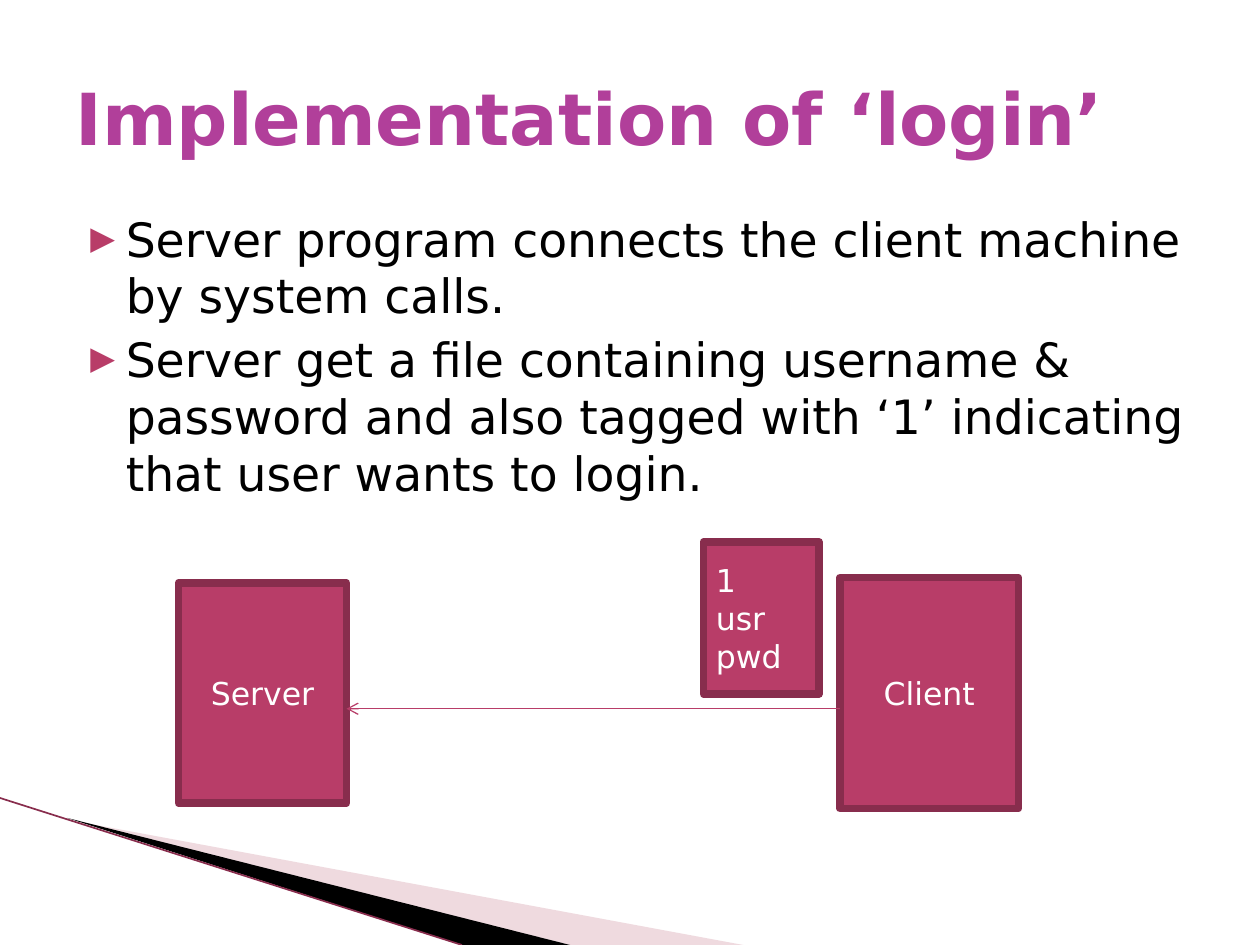
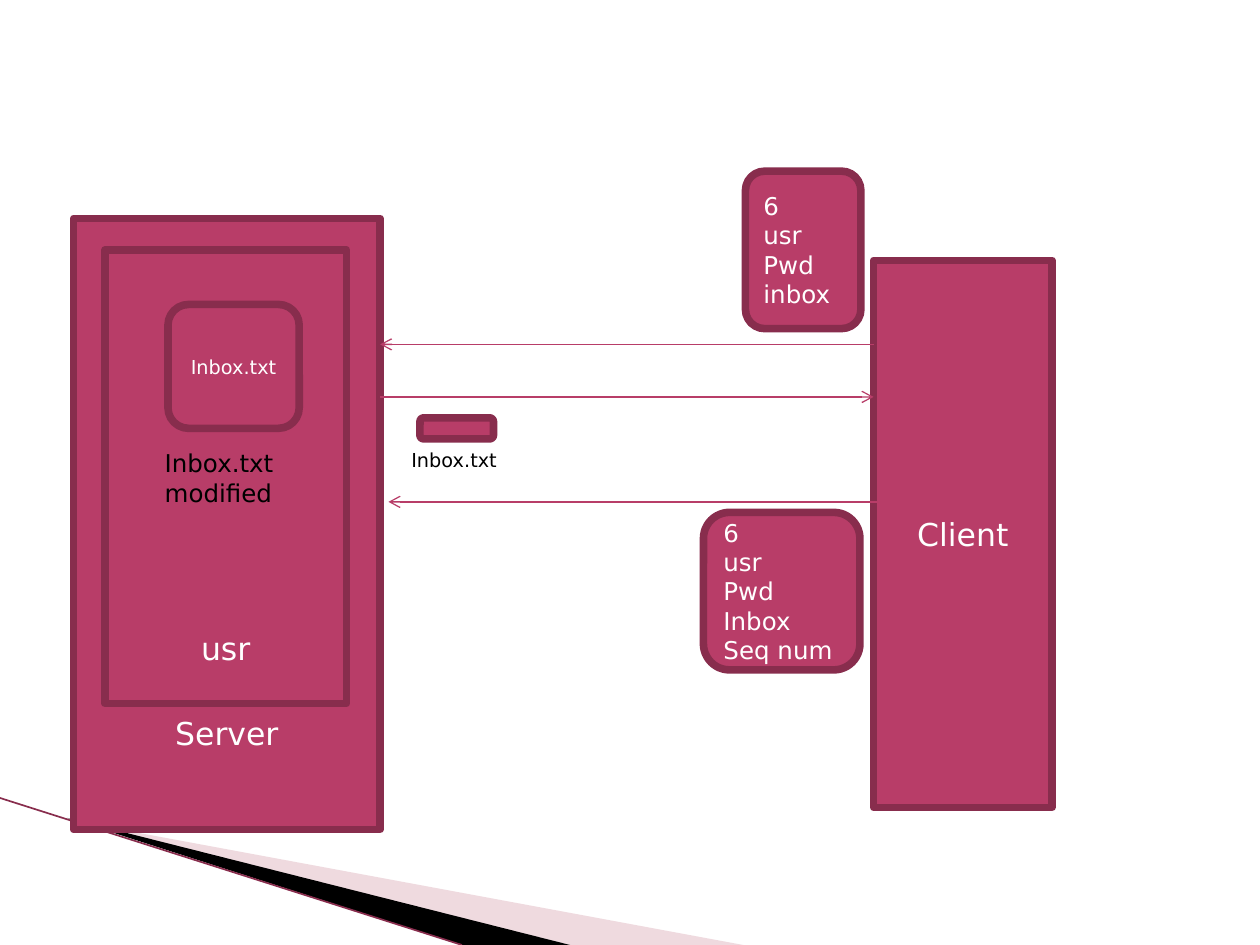
"""Build two slides that show how login and inbox requests pass between client and server."""
from dataclasses import dataclass
from lxml.etree import SubElement
from pptx import Presentation
from pptx.dml.color import RGBColor
from pptx.enum.shapes import MSO_CONNECTOR as Connector, MSO_SHAPE as Preset
from pptx.enum.text import MSO_ANCHOR as Anchor, PP_ALIGN as Align
from pptx.oxml.ns import qn
from pptx.util import Inches, Pt


@dataclass(frozen=True)
class Theme:
    font: str = "DejaVu Sans"
    title_color: str = "B13F9A"
    text: str = "000000"
    box_text: str = "FFFFFF"
    accent: str = "B83D68"
    border: str = "882D4D"
    wedge_light: str = "D8A3AF"
    wedge_dark: str = "000000"
    wedge_edge: str = "882D4D"
    title_size: int = 41
    body_size: int = 27
    label_size: int = 18
    message_size: int = 14
    file_size: int = 11
    border_width: float = 4.33
    arrow_width: float = 0.75
    edge_width: float = 0.95


THEME = Theme()
COLUMNS, ROWS = 120, 90
CELL = Inches(10) // COLUMNS

WEDGES = [
    ([(6.6, 78.1), (70.8, 90), (54.3, 90)], THEME.wedge_light, 40),
    ([(6.4, 77.9), (54.3, 90), (44, 90)], THEME.wedge_dark, 100),
]
WEDGE_EDGE = ((0, 76), (44, 90))

LOGIN = {
    "title": "Implementation of ‘login’",
    "bullets": [
        "Server program connects the client machine by system calls.",
        "Server get a file containing username & password and also tagged with ‘1’ "
        "indicating that user wants to login.",
    ],
    "boxes": [
        {"at": (17, 55.5, 16, 21), "lines": ["Server"]},
        {"at": (80, 55, 17, 22), "lines": ["Client"]},
        {"at": (67, 51.6, 11, 14.5), "lines": ["1", "usr", "pwd"], "align": Align.LEFT},
    ],
    "arrows": [((80, 67.5), (33, 67.5))],
}

MESSAGE = {"preset": Preset.ROUNDED_RECTANGLE, "size": THEME.message_size, "align": Align.LEFT}
FILE = {"preset": Preset.ROUNDED_RECTANGLE, "size": THEME.file_size}
INBOX = {
    "boxes": [
        {"at": (7, 20.8, 29.2, 58.2), "lines": ["Server"], "lift": 7.4},
        {"at": (83.2, 24.8, 17, 52.1), "lines": ["Client"]},
        {"at": (40, 39.8, 7, 2), "lines": [], **FILE},
        {"at": (71, 16.3, 11, 15), "lines": ["6", "usr", "Pwd", "inbox"], **MESSAGE},
        {"at": (67, 48.8, 14.9, 15), "lines": ["6", "usr", "Pwd", "Inbox", "Seq num"], **MESSAGE},
        {"at": (10, 23.8, 23, 43.2), "lines": ["usr"], "lift": 3.5},
        {"at": (16, 29, 12.5, 11.8), "lines": ["Inbox.txt"], **FILE},
    ],
    "arrows": [
        ((83.2, 32.8), (36.2, 32.8)),
        ((36.2, 37.8), (83.2, 37.8)),
        ((84, 47.8), (37, 47.8)),
    ],
    "captions": [
        ((38, 42.1, 11, 3.5), "Inbox.txt", THEME.file_size),
        ((14.5, 42.1, 14, 6.8), "Inbox.txt modified", THEME.message_size),
    ],
}


def grid(*lengths):
    return [round(length * CELL) for length in lengths]


def rgb(color):
    return RGBColor.from_string(color)


def write(text_frame, lines, size, color, align=Align.LEFT, bold=False):
    text_frame.word_wrap = True
    text_frame.text = "\n".join(lines)
    for paragraph in text_frame.paragraphs:
        paragraph.alignment = align
        for run in paragraph.runs:
            run.font.name, run.font.size, run.font.bold = THEME.font, Pt(size), bold
            run.font.color.rgb = rgb(color)


def add_text(slide, at, lines, size, color=THEME.text, anchor=Anchor.TOP, bold=False):
    text_frame = slide.shapes.add_textbox(*grid(*at)).text_frame
    write(text_frame, lines, size, color, bold=bold)
    text_frame.vertical_anchor = anchor
    return text_frame


def add_line(slide, start, end, color, width, arrow=False):
    line = slide.shapes.add_connector(Connector.STRAIGHT, *grid(*start, *end))
    line.line.color.rgb = rgb(color)
    line.line.width = Pt(width)
    if arrow:
        SubElement(line.line._get_or_add_ln(), qn("a:tailEnd"), type="arrow")
    SubElement(line._element.spPr, qn("a:effectLst"))


def add_wedge(slide, points, color, opacity):
    start, *others = [grid(*point) for point in points]
    builder = slide.shapes.build_freeform(*start)
    builder.add_line_segments(others, close=True)
    wedge = builder.convert_to_shape()
    wedge.shadow.inherit = False
    wedge.fill.solid()
    wedge.fill.fore_color.rgb = rgb(color)
    wedge.line.fill.background()
    if opacity < 100:
        fill_color = wedge._element.spPr.find(f".//{qn('a:srgbClr')}")
        SubElement(fill_color, qn("a:alpha"), val=str(opacity * 1000))


def add_box(slide, at, lines, preset=Preset.RECTANGLE, size=THEME.label_size,
            align=Align.CENTER, lift=None):
    box = slide.shapes.add_shape(preset, *grid(*at))
    box.shadow.inherit = False
    box.fill.solid()
    box.fill.fore_color.rgb = rgb(THEME.accent)
    box.line.color.rgb = rgb(THEME.border)
    box.line.width = Pt(THEME.border_width)
    SubElement(box.line._get_or_add_ln(), qn("a:round"))
    write(box.text_frame, lines, size, THEME.box_text, align)
    box.text_frame.vertical_anchor = Anchor.MIDDLE
    if lift:
        box.text_frame.vertical_anchor = Anchor.BOTTOM
        box.text_frame.margin_bottom = grid(lift)[0]


def add_bullets(slide, bullets):
    text_frame = add_text(slide, (6, 19.4, 108, 29.5), bullets, THEME.body_size)
    for paragraph in text_frame.paragraphs:
        paragraph.space_before = Pt(4)
        properties = paragraph._p.get_or_add_pPr()
        properties.set("marL", str(Inches(0.4)))
        properties.set("indent", str(Inches(-0.28)))
        bullet_color = SubElement(properties, qn("a:buClr"))
        SubElement(bullet_color, qn("a:srgbClr"), val=THEME.accent)
        SubElement(properties, qn("a:buSzPct"), val="68000")
        SubElement(properties, qn("a:buFont"), typeface=THEME.font)
        SubElement(properties, qn("a:buChar"), char="▶")


def add_slide(presentation, content):
    slide = presentation.slides.add_slide(presentation.slide_layouts[6])
    for wedge in WEDGES:
        add_wedge(slide, *wedge)
    add_line(slide, *WEDGE_EDGE, THEME.wedge_edge, THEME.edge_width)
    if "title" in content:
        add_text(slide, (6, 3.6, 108, 15), [content["title"]], THEME.title_size,
                 THEME.title_color, Anchor.MIDDLE, bold=True)
        add_bullets(slide, content["bullets"])
    for box in content["boxes"]:
        add_box(slide, **box)
    for start, end in content["arrows"]:
        add_line(slide, start, end, THEME.accent, THEME.arrow_width, arrow=True)
    for at, caption, size in content.get("captions", []):
        add_text(slide, at, [caption], size)


def main():
    presentation = Presentation()
    presentation.slide_width, presentation.slide_height = grid(COLUMNS, ROWS)
    for content in (LOGIN, INBOX):
        add_slide(presentation, content)
    presentation.save("out.pptx")


if __name__ == "__main__":
    main()
